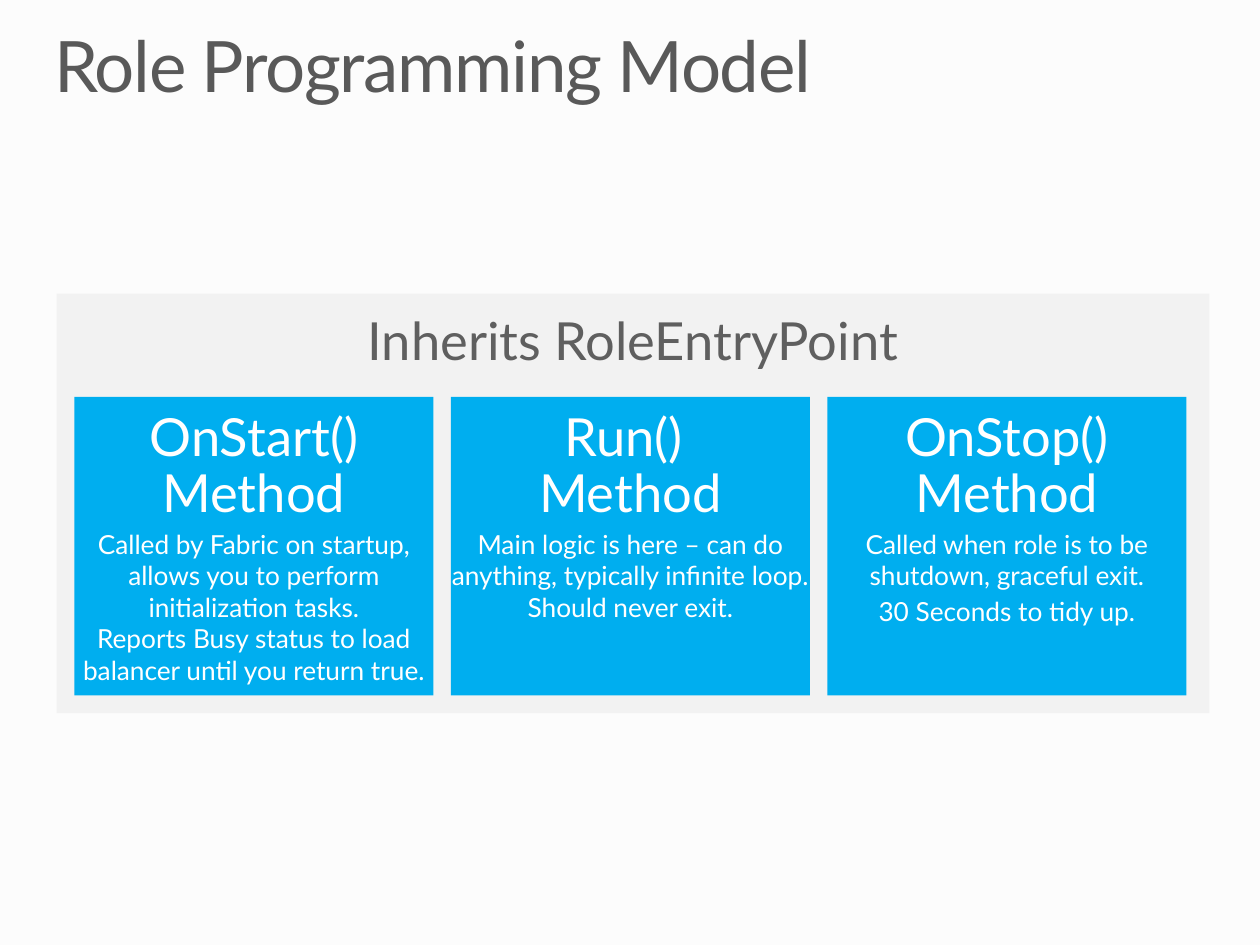
from dataclasses import dataclass

from pptx import Presentation
from pptx.dml.color import RGBColor
from pptx.enum.shapes import MSO_SHAPE
from pptx.enum.text import MSO_AUTO_SIZE, PP_ALIGN
from pptx.util import Cm, Pt


@dataclass(frozen=True)
class Theme:
    font: str = "Lato"
    back: str = "FCFCFC"
    panel: str = "F2F2F2"
    card: str = "00AEEF"
    title: str = "595959"
    label: str = "5F5F5F"
    light: str = "FFFFFF"
    big: float = 40.5
    head: float = 30
    body: float = 15


@dataclass(frozen=True)
class Box:
    left: float
    top: float
    width: float
    height: float

    def place(self) -> tuple:
        return Cm(self.left), Cm(self.top), Cm(self.width), Cm(self.height)


@dataclass(frozen=True)
class Card:
    head: str
    notes: tuple[str, ...]
    tall: float


THEME = Theme()

# Method cards; \v is a line break
CARDS = (
    Card("OnStart() Method",
         ("Called by Fabric on startup, allows you to perform initialization "
          "tasks.\vReports Busy status to load balancer until you return true.",),
         5.59),
    Card("Run() \vMethod",
         ("Main logic is here – can do anything, typically infinite loop. "
          "Should never exit.",),
         5.72),
    Card("OnStop() Method",
         ("Called when role is to be shutdown, graceful exit.",
          "30 Seconds to tidy up."),
         4.37),
)
FIRST = Box(1.5, 8, 7.24, 6.02)
STEP = 7.59
INSET = 0.28


def draw_rect(slide, box: Box, color: str) -> None:
    rect = slide.shapes.add_shape(MSO_SHAPE.RECTANGLE, *box.place())
    rect.shadow.inherit = False
    rect.fill.solid()
    rect.fill.fore_color.rgb = RGBColor.from_string(color)
    rect.line.fill.background()


def add_frame(slide, box: Box):
    frame = slide.shapes.add_textbox(*box.place()).text_frame
    frame.margin_left = frame.margin_right = 0
    frame.margin_top = frame.margin_bottom = 0
    frame.word_wrap = True
    frame.auto_size = MSO_AUTO_SIZE.SHAPE_TO_FIT_TEXT
    return frame


def add_text(frame, text: str, *, size: float, color: str,
             align=PP_ALIGN.CENTER, lines: float = 1.0,
             before: float = 0, track: int = 0) -> None:
    para = frame.paragraphs[0]
    if para.text:
        para = frame.add_paragraph()
    para.text = text
    para.alignment = align
    para.line_spacing = lines
    para.space_before = Pt(before)
    for run in para.runs:
        run.font.name = THEME.font
        run.font.size = Pt(size)
        run.font.color.rgb = RGBColor.from_string(color)
        if track:
            run.font._element.set("spc", str(track))


def draw_card(slide, box: Box, card: Card) -> None:
    draw_rect(slide, box, THEME.card)
    frame = add_frame(slide, Box(box.left, box.top + INSET, box.width, card.tall))
    add_text(frame, card.head, size=THEME.head, color=THEME.light, lines=0.9)
    for note in card.notes:
        add_text(frame, note, size=THEME.body, color=THEME.light, before=2.2)


def main() -> None:
    deck = Presentation()
    deck.slide_width, deck.slide_height = Cm(25.4), Cm(19.05)
    slide = deck.slides.add_slide(deck.slide_layouts[6])
    slide.background.fill.solid()
    slide.background.fill.fore_color.rgb = RGBColor.from_string(THEME.back)

    # Title
    add_text(add_frame(slide, Box(1.09, 0.64, 23.24, 1.55)),
             "Role Programming Model", size=THEME.big, color=THEME.title,
             align=PP_ALIGN.LEFT, lines=0.9, track=-80)

    # Panel and its heading
    draw_rect(slide, Box(1.14, 5.92, 23.24, 8.46), THEME.panel)
    add_text(add_frame(slide, Box(1.14, 6.22, 23.24, 1.3)),
             "Inherits RoleEntryPoint", size=THEME.head, color=THEME.label)

    # Row of cards
    for i, card in enumerate(CARDS):
        box = Box(FIRST.left + i * STEP, FIRST.top, FIRST.width, FIRST.height)
        draw_card(slide, box, card)

    deck.save("out.pptx")


if __name__ == "__main__":
    main()
